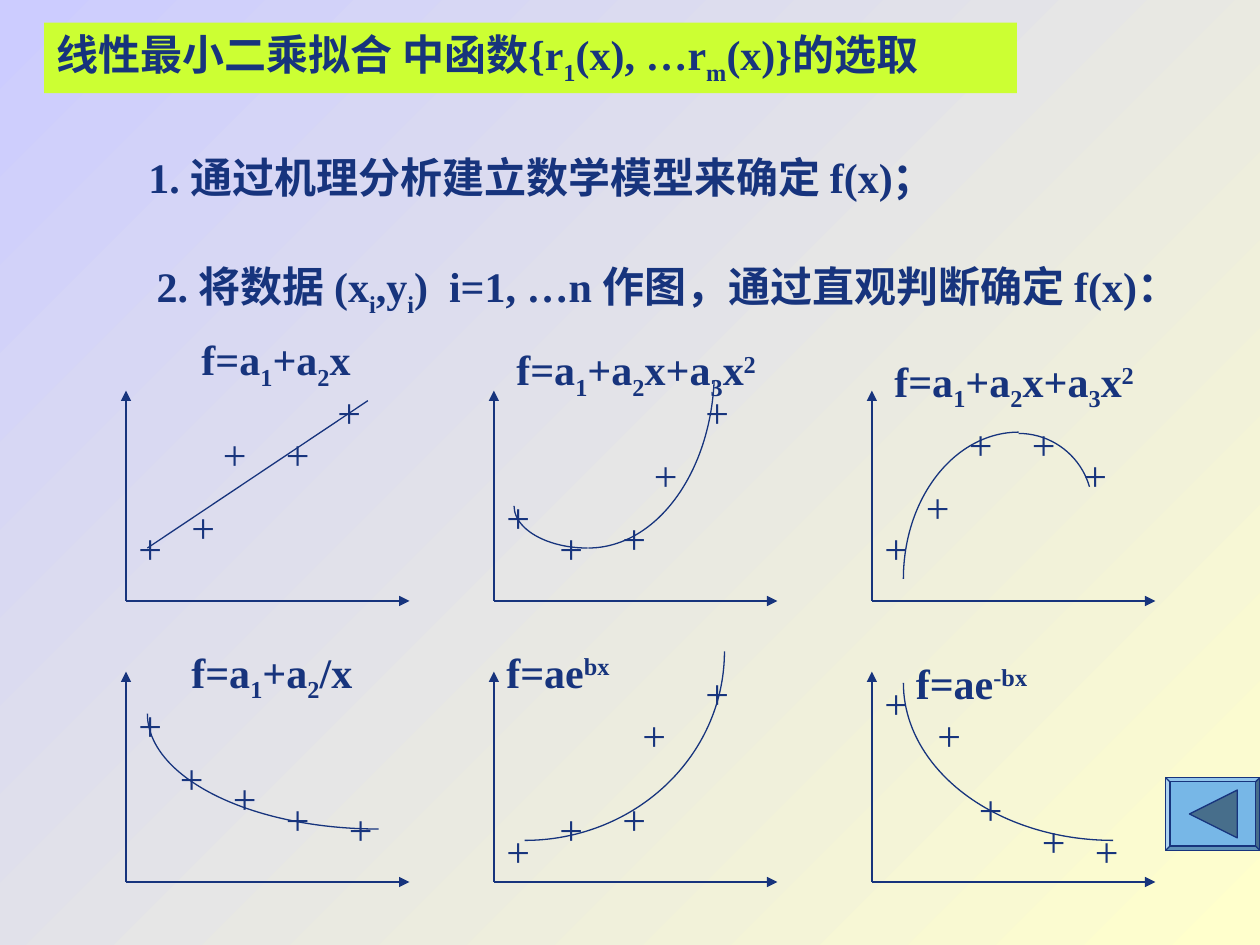
from lxml.etree import SubElement
from pptx import Presentation
from pptx.dml.color import RGBColor
from pptx.enum.shapes import MSO_CONNECTOR, MSO_SHAPE
from pptx.enum.text import MSO_ANCHOR, MSO_AUTO_SIZE, PP_ALIGN
from pptx.oxml.ns import qn
from pptx.util import Inches, Pt

NAVY = RGBColor(0x17, 0x34, 0x7D)
LIME = RGBColor(0xCC, 0xFF, 0x33)
CREAM = RGBColor(0xFF, 0xFF, 0xCC)
LILAC = RGBColor(0xCC, 0xCC, 0xFF)
SKY = RGBColor(0x77, 0xB7, 0xE7)
STEEL = RGBColor(0x47, 0x6E, 0x8B)
FONT = "Times New Roman"

# Content: "|" parts the runs, "_" marks a subscript and "^" a superscript
TITLE = "线性最小二乘拟合 中函数{r|_1|(x), …r|_m|(x)}的选取"
STEP_1 = "1. 通过机理分析建立数学模型来确定 f(x)；"
STEP_2 = "2. 将数据 (x|_i|,y|_i|)  i=1, …n 作图，通过直观判断确定 f(x)："
LINE = "f=a|_1|+a|_2|x"
QUAD = "f=a|_1|+a|_2|x+a|_3|x|^2"

COLS = (1, 3.92, 6.92)
ROWS = (4.77, 7)
AXIS_W, AXIS_H = 2.25, 1.67

# Plots, row by row: label, its box, marks (right of and above the corner),
# arcs (box, start and end in degrees)
PLOTS = [
    (LINE, (1.5, 2.6, 1.42, 0.56),
     [(0, 0.67), (0.42, 0.84), (1.17, 1.42), (1.58, 1.75), (0.67, 1.42)],
     []),
    (QUAD, (4, 2.68, 2.33, 0.56),
     [(0, 0.92), (0.42, 0.67), (1.17, 1.25), (1.58, 1.75), (0.92, 0.75)],
     [((4.08, 3.68, 1.17, 0.67), 90, 180), ((3.67, 1.52, 2, 2.83), 5, 90)]),
    (QUAD, (7, 2.77, 2.17, 0.56),
     [(0, 0.67), (0.33, 1), (1.17, 1.5), (1.58, 1.25), (0.67, 1.5)],
     [((7.17, 3.43, 1.83, 2.33), 180, 270),
      ((7.5, 3.44, 1.17, 1.17), 270, 344)]),
    ("f=a|_1|+a|_2|/x", (1.42, 5.08, 1.92, 0.56),
     [(0, 1.5), (0.33, 1.08), (1.17, 0.75), (1.67, 0.67), (0.75, 0.92)],
     [((1.17, 4.75, 3.67, 1.83), 90, 180)]),
    ("f=ae|^bx", (3.92, 5.08, 1.92, 0.5),
     [(0, 0.5), (0.42, 0.67), (1.08, 1.42), (1.58, 1.75), (0.92, 0.75)],
     [((2.58, 3.67, 3.17, 3), 0, 90)]),
    ("f=ae|^-bx", (7.17, 5.17, 1.92, 0.5),
     [(0, 1.67), (0.42, 1.42), (1.25, 0.58), (1.67, 0.5), (0.75, 0.83)],
     [((7.17, 4.17, 3.33, 2.5), 90, 180)]),
]
FIT = (1.17, 4.35, 2.92, 3.18)
BASE = {"_": "-25000", "^": "30000"}


def inches(nums):
    return [Inches(n) for n in nums]


def write(shape, text, bold=True, align=PP_ALIGN.LEFT, wrap=True):
    frame = shape.text_frame
    frame.auto_size = MSO_AUTO_SIZE.NONE
    frame.word_wrap = wrap
    frame.vertical_anchor = MSO_ANCHOR.TOP
    para = frame.paragraphs[0]
    para.alignment = align
    for part in text.split("|"):
        run = para.add_run()
        run.text = part.lstrip("_^")
        font = run.font
        font.name, font.size, font.bold = FONT, Pt(24), bold
        font.color.rgb = NAVY
        if part[0] in BASE:
            run._r.get_or_add_rPr().set("baseline", BASE[part[0]])


def add_text(slide, box, text, **style):
    write(slide.shapes.add_textbox(*inches(box)), text, **style)


def add_line(slide, ends, arrow=False):
    line = slide.shapes.add_connector(MSO_CONNECTOR.STRAIGHT, *inches(ends))
    line.line.color.rgb = NAVY
    line.line.width = Pt(0.75)
    if arrow:
        SubElement(line.line._get_or_add_ln(), qn("a:tailEnd"), type="triangle")
    SubElement(line._element.spPr, qn("a:effectLst"))


def add_form(slide, kind, box, fill=None):
    shape = slide.shapes.add_shape(kind, *inches(box))
    shape.shadow.inherit = False
    shape.line.color.rgb = NAVY
    shape.line.width = Pt(0.75)
    if fill is None:
        shape.fill.background()
    else:
        shape.fill.solid()
        shape.fill.fore_color.rgb = fill
    return shape


def add_plot(slide, left, base, plot):
    label, box, marks, arcs = plot
    add_line(slide, (left, base, left, base - AXIS_H), arrow=True)
    add_line(slide, (left, base, left + AXIS_W, base), arrow=True)
    for right, up in marks:
        add_text(slide, (left + right, base - up, 0.42, 0.5), "+", bold=False)
    for oval, start, end in arcs:
        arc = add_form(slide, MSO_SHAPE.ARC, oval)
        # Angles are stored in 60000ths of a degree, scaled by 100000
        arc.adjustments[0] = start * 0.6
        arc.adjustments[1] = end * 0.6
    add_text(slide, box, label)


def main():
    prs = Presentation()
    prs.slide_width, prs.slide_height = Inches(10), Inches(7.5)
    slide = prs.slides.add_slide(prs.slide_layouts[5])

    # Background
    back = slide.background.fill
    back.gradient()
    back.gradient_angle = 135
    for stop, color in zip(back.gradient_stops, (CREAM, LILAC)):
        stop.color.rgb = color

    # Title and steps
    title = slide.shapes.title
    title.left, title.top, title.width, title.height = inches(
        (0.35, 0.18, 7.72, 0.56))
    title.fill.solid()
    title.fill.fore_color.rgb = LIME
    write(title, TITLE)
    add_text(slide, (1.08, 1.15, 7.17, 0.5), STEP_1)
    add_text(slide, (0.81, 2.02, 8.98, 0.56), STEP_2,
             align=PP_ALIGN.CENTER, wrap=False)

    # Plots
    for i, plot in enumerate(PLOTS):
        add_plot(slide, COLS[i % 3], ROWS[i // 3], plot)
    add_line(slide, FIT)

    # Back button
    key = add_form(slide, MSO_SHAPE.BEVEL, (9.25, 6.17, 0.75, 0.58), SKY)
    key.adjustments[0] = 0.06
    tip = add_form(slide, MSO_SHAPE.ISOSCELES_TRIANGLE,
                   (9.44, 6.27, 0.38, 0.38), STEEL)
    tip.rotation = 270

    prs.save("out.pptx")


if __name__ == "__main__":
    main()
